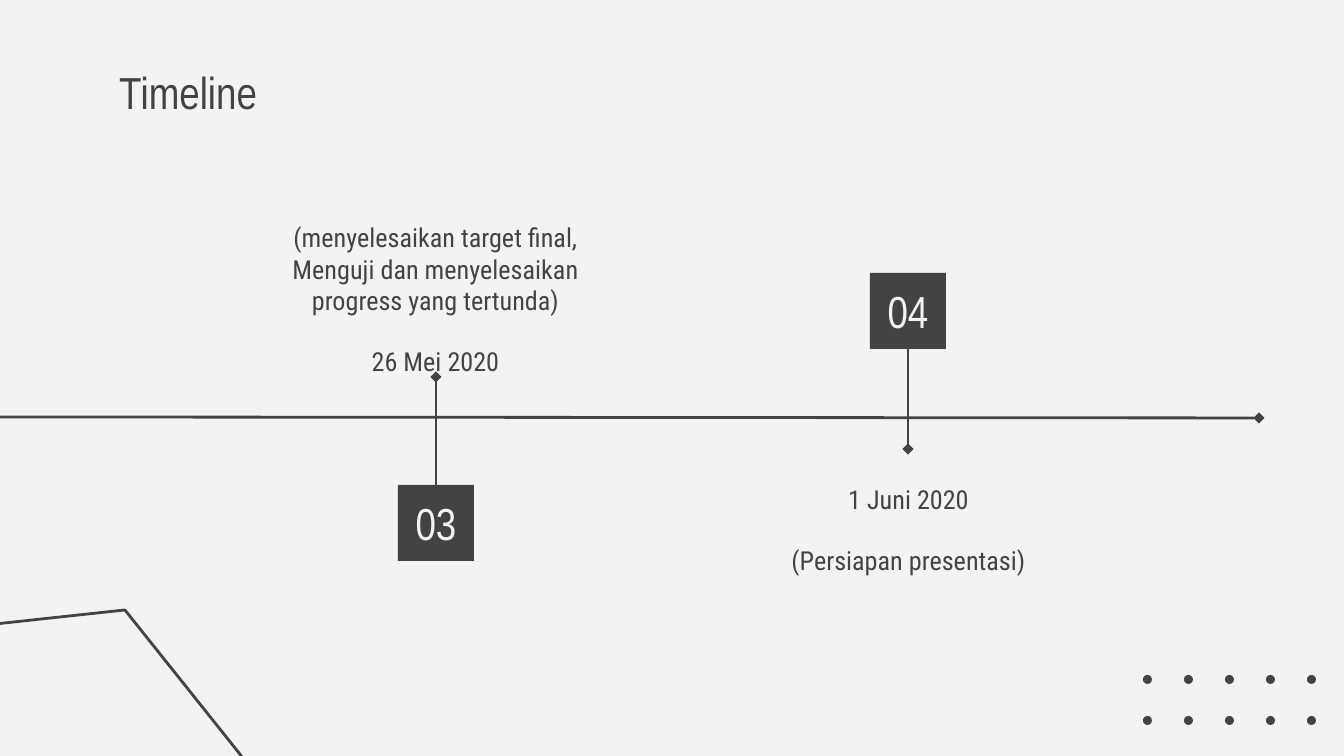
"""Build a timeline slide with two numbered milestones."""
from dataclasses import dataclass

from lxml import etree
from pptx import Presentation
from pptx.dml.color import RGBColor
from pptx.enum.shapes import MSO_CONNECTOR, MSO_SHAPE
from pptx.enum.text import MSO_ANCHOR, MSO_AUTO_SIZE, PP_ALIGN
from pptx.oxml.ns import qn
from pptx.util import Pt

RECT, OVAL = MSO_SHAPE.RECTANGLE, MSO_SHAPE.OVAL
LINE = MSO_CONNECTOR.STRAIGHT
TOP, MIDDLE, BOTTOM = MSO_ANCHOR.TOP, MSO_ANCHOR.MIDDLE, MSO_ANCHOR.BOTTOM
LEFT, CENTER = PP_ALIGN.LEFT, PP_ALIGN.CENTER
FIXED = MSO_AUTO_SIZE.NONE
UPPER, LOWER = 0, 2
WIDTH, HEIGHT = 1344, 756
SCALE = 9144000 / WIDTH
BOX = 76
PAD = 13


@dataclass(frozen=True)
class Theme:
    ink: RGBColor = RGBColor(0x43, 0x43, 0x43)
    paper: RGBColor = RGBColor(0xF3, 0xF3, 0xF3)
    head: str = "Arial Narrow"
    body: str = "Roboto Condensed"
    large: int = 24
    small: int = 14
    gap: int = 16
    stroke: float = 1.5


THEME = Theme()


def px(size):
    return round(size * SCALE)


def place(shape, x, y, w, h):
    shape.left, shape.top, shape.width, shape.height = map(px, (x, y, w, h))


def set_text(shape, lines, font, size, color, anchor, align, top=PAD, base=PAD):
    frame = shape.text_frame
    frame.word_wrap = True
    frame.auto_size = FIXED
    frame.vertical_anchor = anchor
    frame.margin_left = frame.margin_right = px(PAD)
    frame.margin_top, frame.margin_bottom = px(top), px(base)
    for i, line in enumerate(lines):
        para = frame.add_paragraph() if i else frame.paragraphs[0]
        para.alignment = align
        para.space_before = Pt(THEME.gap if i else 0)
        run = para.add_run()
        run.text = line
        run.font.name, run.font.size = font, Pt(size)
        run.font.color.rgb = color


def add_title(slide, text):
    title = slide.shapes.title
    place(title, 106, 52, 473, 122)
    set_text(title, [text], THEME.head, THEME.large, THEME.ink, TOP, LEFT)


def add_solid(slide, kind, x, y, size):
    shape = slide.shapes.add_shape(kind, px(x), px(y), px(size), px(size))
    shape.shadow.inherit = False
    shape.fill.solid()
    shape.fill.fore_color.rgb = THEME.ink
    shape.line.fill.background()
    return shape


def add_label(slide, x, y, lines, anchor, top, base):
    box = slide.shapes.add_textbox(px(x), px(y), px(395), px(161))
    set_text(box, lines, THEME.body, THEME.small, THEME.ink, anchor, CENTER, top, base)


def style_line(line):
    line.color.rgb = THEME.ink
    line.width = Pt(THEME.stroke)


def add_line(slide, start, end):
    line = slide.shapes.add_connector(LINE, *map(px, start + end))
    style_line(line.line)
    tip = etree.SubElement(line.line._get_or_add_ln(), qn("a:tailEnd"))
    tip.set("type", "diamond")
    etree.SubElement(line._element.spPr, qn("a:effectLst"))
    return line


def add_step(slide, x, y, number, site, tip):
    box = add_solid(slide, RECT, x - BOX // 2, y, BOX)
    set_text(box, [number], THEME.head, THEME.large, THEME.paper, MIDDLE, CENTER)
    edge = y + BOX if site == LOWER else y
    stem = add_line(slide, (x, edge), (x, tip))
    stem.begin_connect(box, site)


def add_dots(slide):
    for row in range(2):
        for col in range(5):
            add_solid(slide, OVAL, 1143 + 41 * col, 675 + 41 * row, 9)


def add_corner(slide):
    pen = slide.shapes.build_freeform(-23, 626, scale=SCALE)
    pen.add_line_segments([(125, 610), (243, 758)], close=False)
    shape = pen.convert_to_shape()
    shape.shadow.inherit = False
    shape.fill.background()
    style_line(shape.line)


def main():
    deck = Presentation()
    deck.slide_width, deck.slide_height = px(WIDTH), px(HEIGHT)
    slide = deck.slides.add_slide(deck.slide_layouts[5])
    fill = slide.background.fill
    fill.solid()
    fill.fore_color.rgb = THEME.paper

    add_dots(slide)
    add_corner(slide)
    add_title(slide, "Timeline")
    add_line(slide, (0, 417), (1259, 418))
    add_label(slide, 711, 449, ["1 Juni 2020", "(Persiapan presentasi)"], TOP, 34, PAD)
    task = "(menyelesaikan target final, Menguji dan menyelesaikan progress yang tertunda)"
    add_label(slide, 238, 216, [task, "26 Mei 2020"], BOTTOM, PAD, 0)
    add_step(slide, 908, 273, "04", LOWER, 449)
    add_step(slide, 436, 485, "03", UPPER, 377)
    deck.save("out.pptx")


if __name__ == "__main__":
    main()
